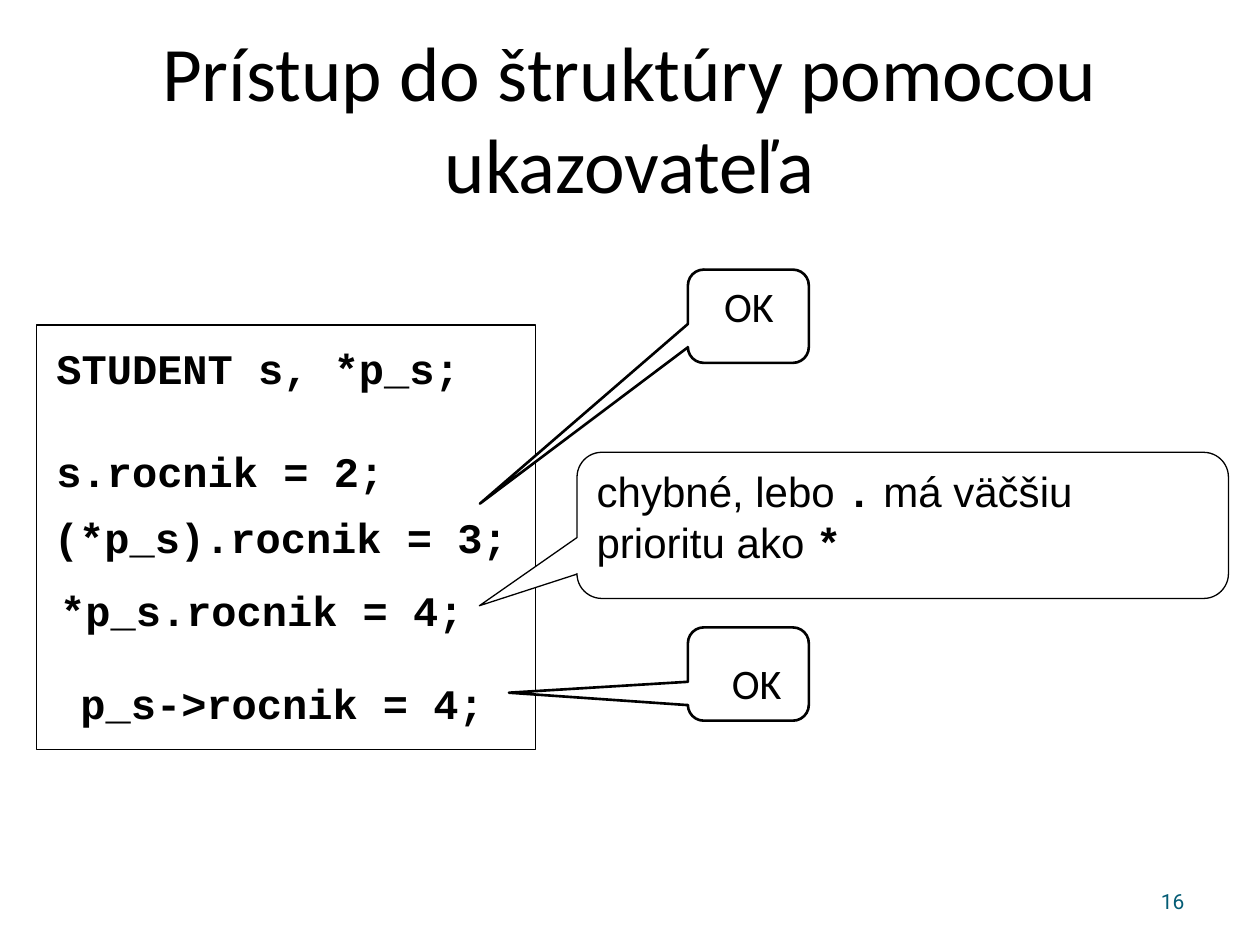
from dataclasses import dataclass, field

from pptx import Presentation
from pptx.dml.color import RGBColor
from pptx.enum.shapes import MSO_SHAPE
from pptx.enum.text import MSO_ANCHOR, PP_ALIGN
from pptx.util import Inches, Pt

RECTANGLE = MSO_SHAPE.RECTANGLE
CALLOUT = MSO_SHAPE.ROUNDED_RECTANGULAR_CALLOUT
TOP, MIDDLE = MSO_ANCHOR.TOP, MSO_ANCHOR.MIDDLE
LEFT, CENTER, RIGHT = PP_ALIGN.LEFT, PP_ALIGN.CENTER, PP_ALIGN.RIGHT
COLUMNS, ROWS = 100, 75


@dataclass(frozen=True)
class Theme:
    """Colours, line widths and text styles of the slide."""

    paper: RGBColor = RGBColor(255, 255, 255)
    ink: RGBColor = RGBColor(0, 0, 0)
    accent: RGBColor = RGBColor(0x04, 0x5C, 0x75)
    thin: float = 0.75
    thick: float = 1.5
    styles: dict = field(default_factory=lambda: {
        "title": {"name": "Calibri", "size": Pt(44)},
        "code": {"name": "Courier New", "size": Pt(24), "bold": True},
        "note": {"name": "Arial", "size": Pt(24)},
        "verdict": {"name": "Calibri", "size": Pt(24)},
        "number": {"name": "Roboto", "size": Pt(12)},
    })


class SlideBuilder:
    """Draws styled elements on a slide divided into columns and rows."""

    def __init__(self, presentation, theme):
        """Add a blank slide and keep the theme."""
        self.theme = theme
        self.column = presentation.slide_width / COLUMNS
        self.row = presentation.slide_height / ROWS
        self.slide = presentation.slides.add_slide(presentation.slide_layouts[6])

    def place(self, left, top, width, height):
        """Turn grid units into slide lengths."""
        return (round(left * self.column), round(top * self.row),
                round(width * self.column), round(height * self.row))

    def fill_text(self, shape, paragraphs, align=LEFT, color=None, gap=0, **frame_format):
        """Fill a shape with paragraphs of (text, style) runs."""
        frame = shape.text_frame
        settings = {"word_wrap": True, "vertical_anchor": TOP, **frame_format}
        for name, value in settings.items():
            setattr(frame, name, value)
        for index, runs in enumerate(paragraphs):
            paragraph = frame.paragraphs[0] if index == 0 else frame.add_paragraph()
            paragraph.alignment = align
            if index:
                paragraph.space_before = Pt(gap)
            for text, style in runs:
                run = paragraph.add_run()
                run.text = text
                run.font.color.rgb = color or self.theme.ink
                for name, value in self.theme.styles[style].items():
                    setattr(run.font, name, value)

    def text(self, box, paragraphs, **options):
        """Add a text box."""
        self.fill_text(self.slide.shapes.add_textbox(*self.place(*box)), paragraphs, **options)

    def panel(self, kind, box, weight, adjustments=()):
        """Add an outlined shape and return it."""
        shape = self.slide.shapes.add_shape(kind, *self.place(*box))
        shape.shadow.inherit = False
        shape.fill.solid()
        shape.fill.fore_color.rgb = self.theme.paper
        shape.line.color.rgb = self.theme.ink
        shape.line.width = Pt(weight)
        for index, value in enumerate(adjustments):
            shape.adjustments[index] = value
        return shape

    def callout(self, box, weight, pointer, paragraphs=(), **options):
        """Add a rounded callout whose tip lies at the pointer offset."""
        shape = self.panel(CALLOUT, box, weight, (*pointer, 0.17))
        self.fill_text(shape, paragraphs, **options)


def main():
    """Build and save the slide."""
    presentation = Presentation()
    presentation.slide_width, presentation.slide_height = Inches(10), Inches(7.5)
    theme = Theme()
    builder = SlideBuilder(presentation, theme)

    builder.text((5, 3, 90, 12.5), [[("Prístup do štruktúry pomocou ukazovateľa", "title")]],
                 align=CENTER, vertical_anchor=MIDDLE)
    builder.text((71.7, 69.5, 23.3, 4), [[("16", "number")]],
                 align=RIGHT, color=theme.accent, vertical_anchor=MIDDLE)

    builder.panel(RECTANGLE, (2.9, 25.8, 39.6, 33.7), theme.thin)
    code_blocks = [
        ((3.5, 26.7, 34, 13), ["STUDENT s, *p_s;", "s.rocnik = 2;"]),
        ((3.3, 40.1, 38, 5), ["(*p_s).rocnik = 3;"]),
        ((3.8, 45.9, 40, 5), ["*p_s.rocnik = 4;"]),
        ((5.4, 53.3, 37.1, 5), ["p_s->rocnik = 4;"]),
    ]
    for box, lines in code_blocks:
        builder.text(box, [[(line, "code")] for line in lines], gap=30, word_wrap=False)

    builder.callout((45.8, 35.9, 51.7, 11.6), theme.thin, (-0.65, 0.55), [[
        ("chybné, lebo ", "note"), (".", "code"),
        (" má väčšiu prioritu ako ", "note"), ("*", "code")]])
    builder.callout((54.6, 49.8, 9.6, 7.4), theme.thick, (-1.98, 0.2))
    builder.text((57.1, 51.7, 11.8, 5), [[("OK", "verdict")]])
    builder.callout((54.6, 21.4, 9.6, 7.4), theme.thick, (-2.22, 2.01),
                    [[("OK", "verdict")]], margin_left=Inches(0.25))

    presentation.save("out.pptx")


if __name__ == "__main__":
    main()
